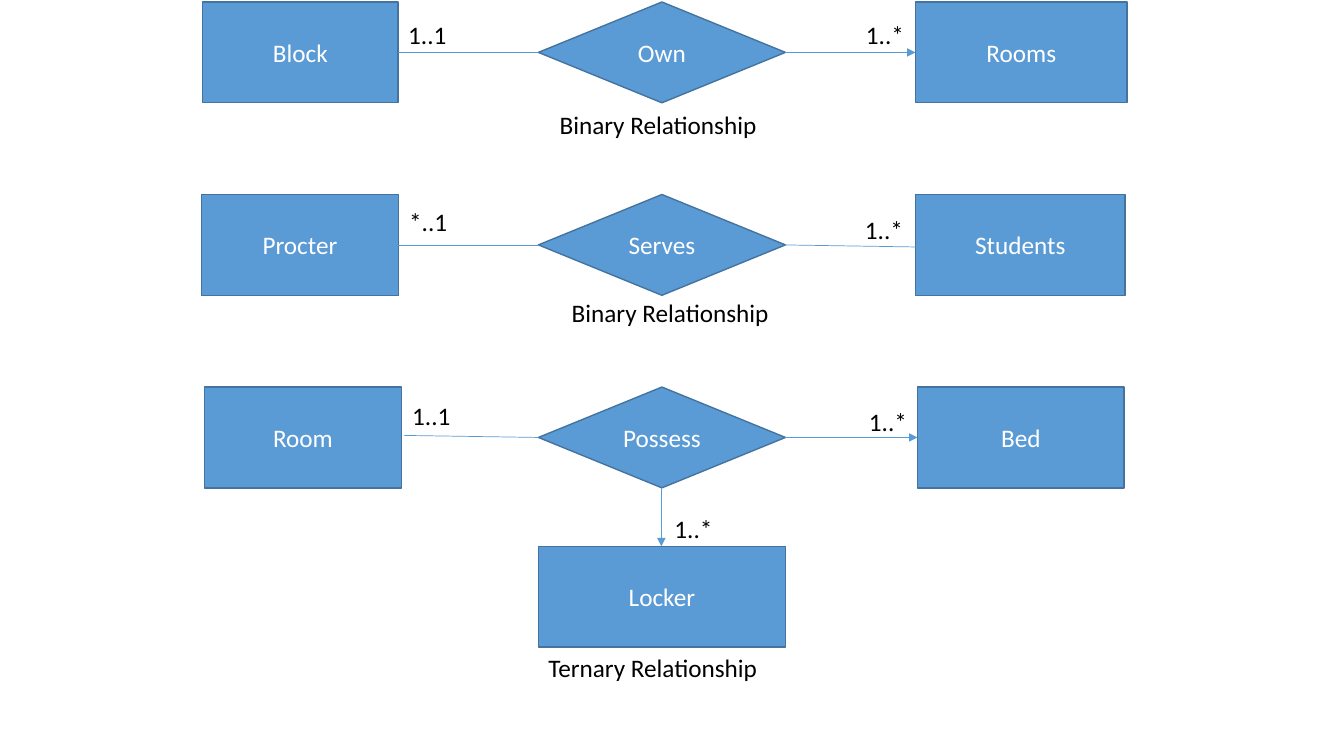
from lxml import etree
from pptx import Presentation
from pptx.dml.color import RGBColor
from pptx.enum.shapes import MSO_CONNECTOR, MSO_SHAPE
from pptx.enum.text import MSO_ANCHOR, PP_ALIGN
from pptx.oxml.ns import qn
from pptx.util import Pt

RECTANGLE, DIAMOND = MSO_SHAPE.RECTANGLE, MSO_SHAPE.DIAMOND
STRAIGHT = MSO_CONNECTOR.STRAIGHT
MIDDLE, CENTER, LEFT = MSO_ANCHOR.MIDDLE, PP_ALIGN.CENTER, PP_ALIGN.LEFT
EMU_PER_PX = 9144
COLORS = {"fill": "5B9BD5", "border": "43739E", "link": "5B9BD5",
          "on_fill": "FFFFFF", "label": "000000"}


class Diagram:
    """Draws entities, relationships, links and labels on one slide."""

    font_name = "Calibri"
    font_size = Pt(18)

    def __init__(self, slide):
        self.shapes = slide.shapes

    def emu(self, *lengths):
        return [length * EMU_PER_PX for length in lengths]

    def color(self, name):
        return RGBColor.from_string(COLORS[name])

    def set_text(self, frame, text, color, align):
        frame.word_wrap = True
        paragraph = frame.paragraphs[0]
        paragraph.text = text
        paragraph.alignment = align
        paragraph.font.name = self.font_name
        paragraph.font.size = self.font_size
        paragraph.font.color.rgb = self.color(color)

    def node(self, kind, text, left, top, width, height=100):
        node = self.shapes.add_shape(kind, *self.emu(left, top, width, height))
        node.shadow.inherit = False
        node.fill.solid()
        node.fill.fore_color.rgb = self.color("fill")
        node.line.color.rgb = self.color("border")
        node.line.width = Pt(1)
        node.text_frame.vertical_anchor = MIDDLE
        self.set_text(node.text_frame, text, "on_fill", CENTER)

    def link(self, start, end, arrow=False):
        link = self.shapes.add_connector(STRAIGHT, *self.emu(*start, *end))
        link.line.color.rgb = self.color("link")
        link.line.width = Pt(0.5)
        properties = link._element.spPr
        if arrow:
            etree.SubElement(properties.find(qn("a:ln")), qn("a:tailEnd"), type="triangle")
        etree.SubElement(properties, qn("a:effectLst"))

    def label(self, text, left, top, width, indent=0):
        label = self.shapes.add_textbox(*self.emu(left, top, width, 40))
        label.text_frame.margin_left = (10 + indent) * EMU_PER_PX
        self.set_text(label.text_frame, text, "label", LEFT)


def main():
    deck = Presentation()
    deck.slide_width, deck.slide_height = 1333 * EMU_PER_PX, 750 * EMU_PER_PX
    diagram = Diagram(deck.slides.add_slide(deck.slide_layouts[6]))

    verb_left, verb_width = 534, 245
    verb_right = verb_left + verb_width
    verb_center = 656
    first_top, row_step = 2, 191

    relationships = [
        (("Block", 201, 194), "Own", ("Rooms", 908, 210)),
        (("Procter", 200, 195), "Serves", ("Students", 908, 208)),
        (("Room", 203, 195), "Possess", ("Bed", 910, 205)),
    ]
    link_ends = [
        ((395, 0), (908, 0), True),
        ((395, 0), (908, 2), False),
        ((401, -2), (910, 0), True),
    ]
    for row, (relationship, ends) in enumerate(zip(relationships, link_ends)):
        (source, source_left, source_width), verb, (target, target_left, target_width) = relationship
        (start_x, start_shift), (end_x, end_shift), arrow = ends
        top = first_top + row * row_step
        middle = top + 50
        diagram.node(RECTANGLE, source, source_left, top, source_width)
        diagram.node(DIAMOND, verb, verb_left, top, verb_width)
        diagram.node(RECTANGLE, target, target_left, top, target_width)
        diagram.link((start_x, middle + start_shift), (verb_left, middle))
        diagram.link((verb_right, middle), (end_x, middle + end_shift), arrow)

    diagram.node(RECTANGLE, "Locker", verb_left, 542, verb_width)
    diagram.link((verb_center, 484), (verb_center, 542), arrow=True)

    for caption, top, indent in [("Binary Relationship", 104, 11),
                                 ("Binary Relationship", 290, 23),
                                 ("Ternary Relationship", 642, 0)]:
        diagram.label(caption, verb_left, top, verb_width, indent)

    for cardinality, left, top, width in [
        ("1..1", 395, 14, 62), ("1..*", 849, 14, 60),
        ("*..1", 396, 200, 61), ("1..*", 848, 208, 60),
        ("1..1", 399, 392, 67), ("1..*", 852, 398, 65),
        ("1..*", 659, 504, 58),
    ]:
        diagram.label(cardinality, left, top, width)

    deck.save("out.pptx")


if __name__ == "__main__":
    main()
